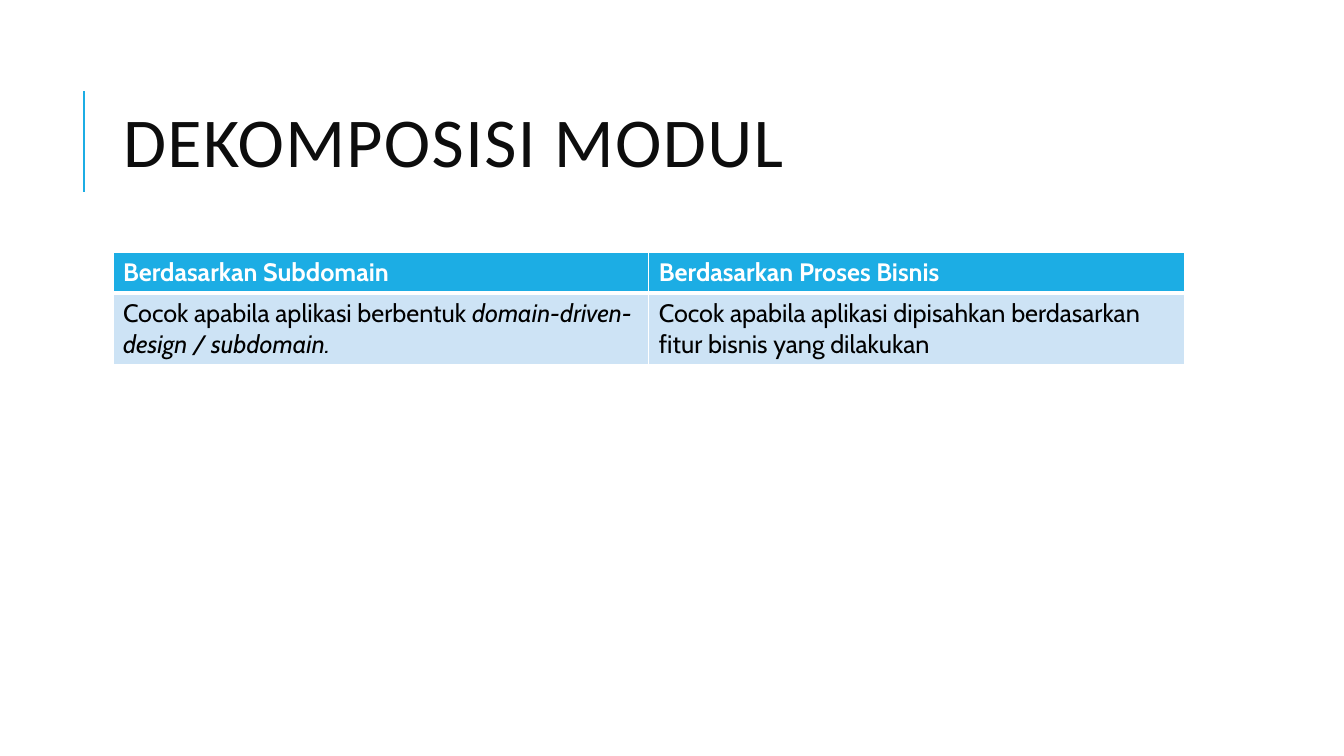
from lxml import etree
from pptx import Presentation
from pptx import util as u
from pptx.dml.color import RGBColor
from pptx.enum import shapes, text
from pptx.oxml import ns

BLUE = RGBColor(0x1C, 0xAD, 0xE4)
PALE = RGBColor(0xCD, 0xE3, 0xF5)
INK = RGBColor(0x0D, 0x0D, 0x0D)
BLACK = RGBColor(0, 0, 0)
WHITE = RGBColor(255, 255, 255)

HEADER = [[("Berdasarkan Subdomain", False)], [("Berdasarkan Proses Bisnis", False)]]
BODY = [
    [("Cocok apabila aplikasi berbentuk ", False),
     ("domain-driven-design / subdomain.", True)],
    [("Cocok apabila aplikasi dipisahkan berdasarkan fitur bisnis yang dilakukan", False)],
]


def add_run(p, words, color, **formats):
    """Append a formatted run to a paragraph."""
    r = p.add_run()
    r.text = words
    r.font.color.rgb = color
    for name, value in formats.items():
        setattr(r.font, name, value)
    return r


def set_borders(cell, widths):
    """Draw white cell borders, with widths in points by side."""
    tcPr = cell._tc.get_or_add_tcPr()
    for i, (side, width) in enumerate(widths.items()):
        ln = etree.Element(ns.qn(f"a:ln{side}"), w=str(u.Pt(width)))
        fill = etree.SubElement(ln, ns.qn("a:solidFill"))
        etree.SubElement(fill, ns.qn("a:srgbClr"), val=str(WHITE))
        tcPr.insert(i, ln)


def add_rule(slide, x, y, height):
    """Draw the vertical accent line beside the title."""
    sp = slide.shapes.add_connector(
        shapes.MSO_CONNECTOR.STRAIGHT, x, y + height, x, y)
    sp.line.color.rgb = BLUE
    sp.line.width = u.Pt(1.5)
    etree.SubElement(sp._element.spPr, ns.qn("a:effectLst"))


def add_title(slide, x, y, width, height, words):
    """Place and format the slide title."""
    sp = slide.shapes.title
    sp.left, sp.top, sp.width, sp.height = x, y, width, height
    tf = sp.text_frame
    formats = {"vertical_anchor": text.MSO_ANCHOR.MIDDLE,
               "auto_size": text.MSO_AUTO_SIZE.NONE, "word_wrap": True}
    for name, value in formats.items():
        setattr(tf, name, value)
    p = tf.paragraphs[0]
    p.alignment = text.PP_ALIGN.LEFT
    p.line_spacing = 0.8
    r = add_run(p, words, INK, name="Calibri", size=u.Pt(50))
    r.font._element.set("spc", "100")


def add_comparison(slide, x, y, width, heights):
    """Build the two-column table of decomposition approaches."""
    rows = [(HEADER, BLUE, WHITE, True, {"L": 1, "R": 1, "T": 1, "B": 3}),
            (BODY, PALE, BLACK, False, {"L": 1, "R": 1, "T": 3, "B": 1})]
    table = slide.shapes.add_table(
        len(rows), len(HEADER), x, y, width, sum(heights)).table
    for i, (contents, fill, color, bold, borders) in enumerate(rows):
        table.rows[i].height = heights[i]
        for j, runs in enumerate(contents):
            cell = table.cell(i, j)
            cell.fill.solid()
            cell.fill.fore_color.rgb = fill
            set_borders(cell, borders)
            p = cell.text_frame.paragraphs[0]
            for words, italic in runs:
                add_run(p, words, color, name="Cabin", size=u.Pt(18),
                        bold=bold, italic=italic)


def main():
    """Create the module decomposition slide."""
    prs = Presentation()
    prs.slide_width, prs.slide_height = u.Inches(13.33), u.Inches(7.5)
    slide = prs.slides.add_slide(prs.slide_layouts[5])
    left, width = u.Inches(1.12), u.Inches(10.63)
    add_rule(slide, u.Inches(0.83), u.Inches(0.9), u.Inches(1))
    add_title(slide, left, u.Inches(0.64), width, u.Inches(1.64), "DEKOMPOSISI MODUL")
    add_comparison(slide, left, u.Inches(2.5), width, [u.Inches(0.41), u.Inches(0.7)])
    prs.save("out.pptx")


if __name__ == "__main__":
    main()
